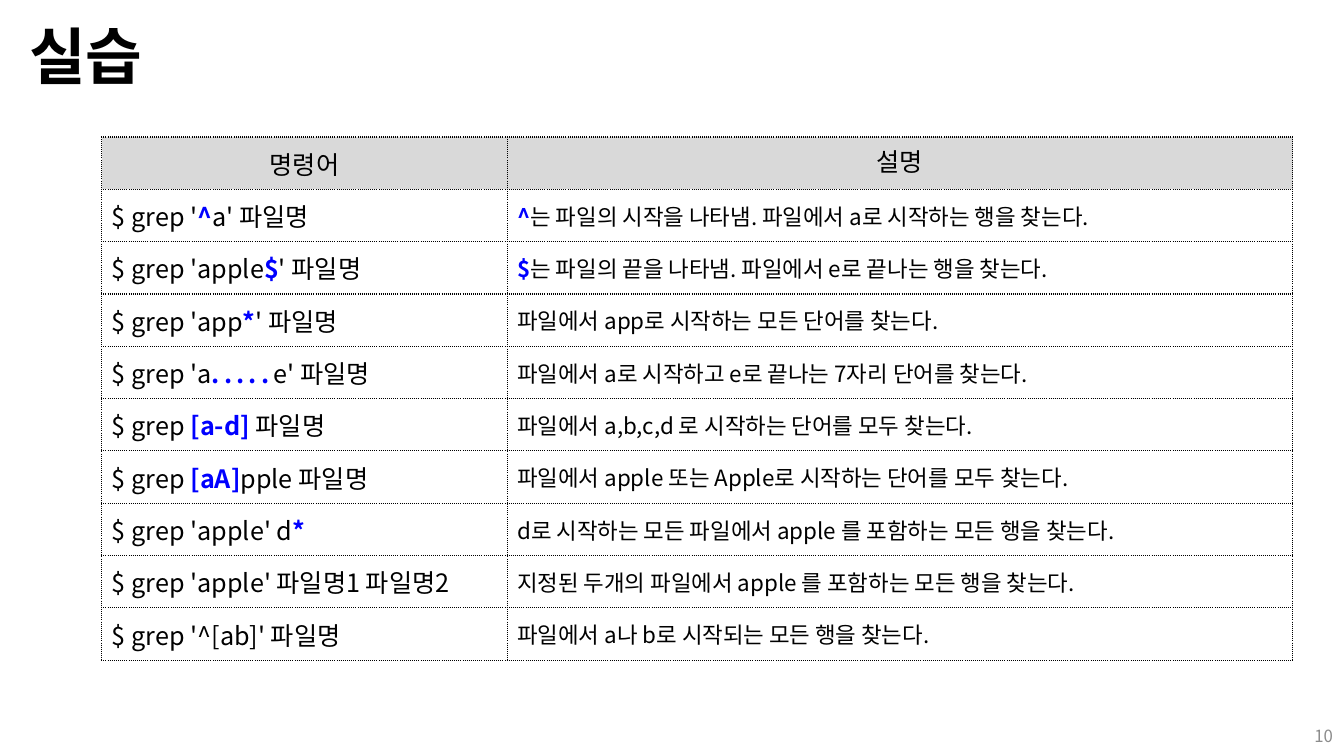
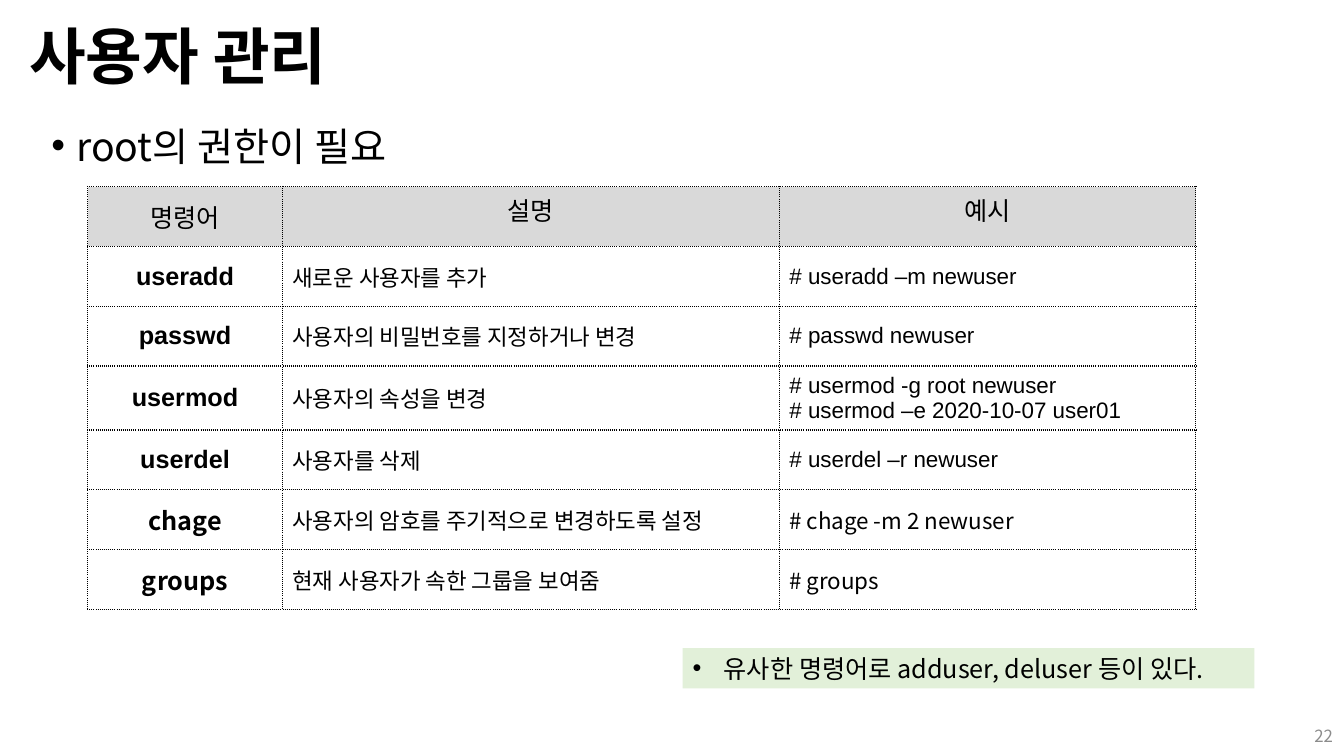
from lxml import etree
from pptx import Presentation
from pptx import util as u
from pptx.dml.color import RGBColor
from pptx.enum import text as t
from pptx.oxml import ns

COLORS = {"ink": "000000", "accent": "0000FF", "header": "D9D9D9",
          "number": "8C8C8C", "note": "E2F0D9"}
KOREAN, LATIN = "Noto Sans CJK KR", "Arial"
LEFT, CENTER, RIGHT = t.PP_ALIGN.LEFT, t.PP_ALIGN.CENTER, t.PP_ALIGN.RIGHT
MIDDLE, TOP = t.MSO_ANCHOR.MIDDLE, t.MSO_ANCHOR.TOP

presentation = Presentation()
presentation.slide_width = u.Inches(13.33)
presentation.slide_height = u.Inches(7.5)
# The grid divides the slide into 100 columns and 100 rows
COLUMN = presentation.slide_width / 100
ROW = presentation.slide_height / 100


def place(left, top, width, height):
    """Turn grid columns and rows into a position and a size."""
    return [u.Emu(round(value * step))
            for value, step in zip((left, top, width, height), (COLUMN, ROW) * 2)]


def write(paragraph, content, size, bold=False, color="ink", font=KOREAN, align=LEFT):
    """Write one paragraph; parts between bars are accented."""
    paragraph.alignment = align
    for index, part in enumerate(content.split("|")):
        if not part:
            continue
        accented = index % 2 == 1
        run = paragraph.add_run()
        run.text = part
        run.font.size = u.Pt(size)
        run.font.bold = bold or accented
        run.font.color.rgb = RGBColor.from_string(COLORS["accent" if accented else color])
        run.font.name = font
        properties = run.font._element
        etree.SubElement(properties, ns.qn("a:ea"), typeface=KOREAN)
        if part == ".....":
            properties.set("spc", "300")


# Content: bullets give text, size, hanging indent, place and fill
slides = [
    {
        "title": "실습", "number": "10",
        "origin": (7.58, 18.13), "columns": (30.16, 58.44), "row": 6.92,
        "rows": [
            ("명령어", "설명"),
            ("$ grep '|^|a' 파일명", "|^|는 파일의 시작을 나타냄. 파일에서 a로 시작하는 행을 찾는다."),
            ("$ grep 'apple|$|' 파일명", "|$|는 파일의 끝을 나타냄. 파일에서 e로 끝나는 행을 찾는다."),
            ("$ grep 'app|*|' 파일명", "파일에서 app로 시작하는 모든 단어를 찾는다."),
            ("$ grep 'a|.....|e' 파일명", "파일에서 a로 시작하고 e로 끝나는 7자리 단어를 찾는다."),
            ("$ grep |[a-d] |파일명", "파일에서 a,b,c,d 로 시작하는 단어를 모두 찾는다."),
            ("$ grep |[aA]|pple 파일명", "파일에서 apple 또는 Apple로 시작하는 단어를 모두 찾는다."),
            ("$ grep 'apple' d|*|", "d로 시작하는 모든 파일에서 apple 를 포함하는 모든 행을 찾는다."),
            ("$ grep 'apple' 파일명1 파일명2", "지정된 두개의 파일에서 apple 를 포함하는 모든 행을 찾는다."),
            ("$ grep '^[ab]' 파일명", "파일에서 a나 b로 시작되는 모든 행을 찾는다."),
        ],
        "names": False, "latin_rows": (), "bullets": [],
    },
    {
        "title": "사용자 관리", "number": "22",
        "origin": (6.53, 24.67), "columns": (14.48, 36.98, 30.98), "row": 7.92,
        "rows": [
            ("명령어", "설명", "예시"),
            ("useradd", "새로운 사용자를 추가", "# useradd –m newuser"),
            ("passwd", "사용자의 비밀번호를 지정하거나 변경", "# passwd newuser"),
            ("usermod", "사용자의 속성을 변경",
             "# usermod -g root newuser\n# usermod –e 2020-10-07 user01"),
            ("userdel", "사용자를 삭제", "# userdel –r newuser"),
            ("chage", "사용자의 암호를 주기적으로 변경하도록 설정", "# chage -m 2 newuser"),
            ("groups", "현재 사용자가 속한 그룹을 보여줌", "# groups"),
        ],
        "names": True, "latin_rows": range(1, 5),
        "bullets": [
            ("root의 권한이 필요", 28, 0.25, 10, (3.08, 15.47, 93.85, 9), None),
            ("유사한 명령어로 adduser, deluser 등이 있다.", 18, 0.31, 0,
             (50.79, 85.73, 42.54, 5.33), "note"),
        ],
    },
]

for content in slides:
    slide = presentation.slides.add_slide(presentation.slide_layouts[5])

    # Title
    title = slide.shapes.title
    title.left, title.top, title.width, title.height = place(1.43, 2.53, 97, 10.8)
    title.text_frame.vertical_anchor = MIDDLE
    title.text_frame.auto_size = t.MSO_AUTO_SIZE.NONE
    title.text_frame.paragraphs[0].line_spacing = 0.9
    write(title.text_frame.paragraphs[0], content["title"], 44, bold=True)

    # Slide number
    number = slide.shapes.add_textbox(*place(96.17, 94.67, 3.75, 5.33))
    number.text_frame.word_wrap = True
    number.text_frame.vertical_anchor = MIDDLE
    write(number.text_frame.paragraphs[0], content["number"], 12, color="number", align=RIGHT)

    # Table
    rows, columns = content["rows"], content["columns"]
    area = place(*content["origin"], sum(columns), content["row"] * len(rows))
    table = slide.shapes.add_table(len(rows), len(columns), *area).table
    table.first_row = table.horz_banding = False
    for column, width in zip(table.columns, columns):
        column.width = round(width * COLUMN)
    for row_index, row in enumerate(rows):
        table.rows[row_index].height = round(content["row"] * ROW)
        for column_index, words in enumerate(row):
            cell = table.cell(row_index, column_index)
            header, first = row_index == 0, column_index == 0
            name = content["names"] and first and not header
            cell.vertical_anchor = TOP if header and not first else MIDDLE
            if header:
                cell.fill.solid()
                cell.fill.fore_color.rgb = RGBColor.from_string(COLORS["header"])
            else:
                cell.fill.background()

            # Cell text, one paragraph a line
            cell.text_frame.text = "\n" * words.count("\n")
            for paragraph, line in zip(cell.text_frame.paragraphs, words.split("\n")):
                write(paragraph, line, 18 if header or first else 16, bold=name,
                      font=LATIN if row_index in content["latin_rows"] else KOREAN,
                      align=CENTER if header or name else LEFT)

            # Dotted borders come before the fill
            properties = cell._tc.get_or_add_tcPr()
            for position, side in enumerate("LRTB"):
                border = etree.Element(ns.qn("a:ln" + side), w=str(u.Pt(1)))
                fill = etree.SubElement(border, ns.qn("a:solidFill"))
                etree.SubElement(fill, ns.qn("a:srgbClr"), val=COLORS["ink"])
                etree.SubElement(border, ns.qn("a:prstDash"), val="sysDot")
                properties.insert(position, border)

    # Bulleted lines
    for words, size, indent, before, position, fill in content["bullets"]:
        box = slide.shapes.add_textbox(*place(*position))
        box.text_frame.word_wrap = True
        if fill:
            box.fill.solid()
            box.fill.fore_color.rgb = RGBColor.from_string(COLORS[fill])
            box.text_frame.auto_size = t.MSO_AUTO_SIZE.SHAPE_TO_FIT_TEXT
        paragraph = box.text_frame.paragraphs[0]
        paragraph.space_before = u.Pt(before)
        write(paragraph, words, size)
        properties = paragraph._p.get_or_add_pPr()
        properties.set("marL", str(u.Inches(indent)))
        properties.set("indent", str(-u.Inches(indent)))
        etree.SubElement(properties, ns.qn("a:buFont"), typeface=LATIN)
        etree.SubElement(properties, ns.qn("a:buChar"), char="•")

presentation.save("out.pptx")
